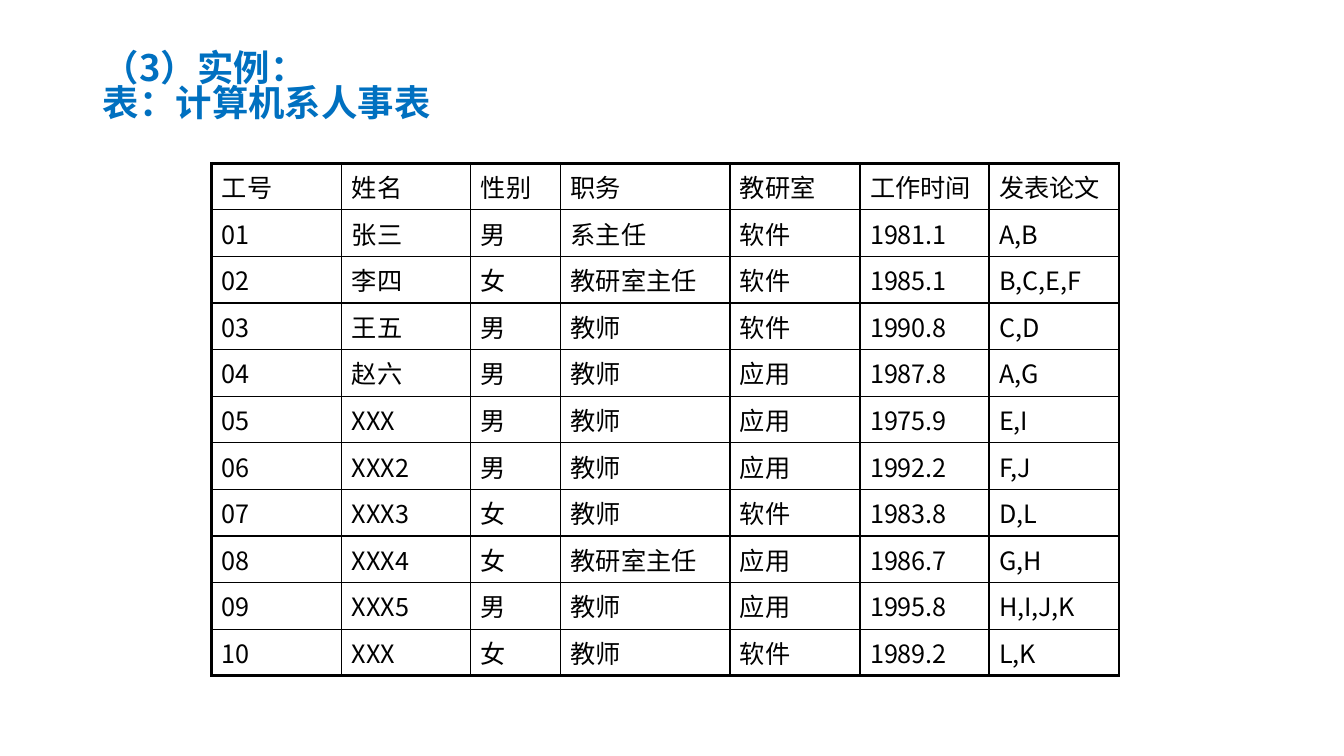
from lxml import etree
from pptx import Presentation
from pptx import util as u
from pptx.dml.color import RGBColor
from pptx.enum import text
from pptx.oxml.ns import qn

PX = 9144  # EMU in one px, 100 px to the inch
FONT = "Noto Sans CJK SC"
COLORS = {"title": "0070C0", "ink": "000000", "paper": "FFFFFF"}
THIN, THICK = 1, 2.25

TITLE = "（3）实例：\v表：计算机系人事表"
COLUMN_WIDTHS = [129, 128, 89, 168, 129, 128, 129]
STAFF = [
    ["工号", "姓名", "性别", "职务", "教研室", "工作时间", "发表论文"],
    ["01", "张三", "男", "系主任", "软件", "1981.1", "A,B"],
    ["02", "李四", "女", "教研室主任", "软件", "1985.1", "B,C,E,F"],
    ["03", "王五", "男", "教师", "软件", "1990.8", "C,D"],
    ["04", "赵六", "男", "教师", "应用", "1987.8", "A,G"],
    ["05", "XXX", "男", "教师", "应用", "1975.9", "E,I"],
    ["06", "XXX2", "男", "教师", "应用", "1992.2", "F,J"],
    ["07", "XXX3", "女", "教师", "软件", "1983.8", "D,L"],
    ["08", "XXX4", "女", "教研室主任", "应用", "1986.7", "G,H"],
    ["09", "XXX5", "男", "教师", "应用", "1995.8", "H,I,J,K"],
    ["10", "XXX", "女", "教师", "软件", "1989.2", "L,K"],
]


def color(name):
    return RGBColor.from_string(COLORS[name])


def write(frame, words, size, ink, bold=False, line_spacing=None):
    paragraph = frame.paragraphs[0]
    paragraph.text = words
    paragraph.alignment = text.PP_ALIGN.LEFT
    paragraph.line_spacing = line_spacing
    for run in paragraph.runs:
        font = run.font
        font.name, font.size, font.bold = FONT, u.Pt(size), bold
        font.color.rgb = color(ink)
        east_asian = etree.SubElement(font._element, qn("a:ea"))
        east_asian.set("typeface", FONT)


def draw_borders(cell, widths):
    """Line the cell's left, right, top and bottom sides, widths in points."""
    properties = cell._tc.get_or_add_tcPr()
    for position, (side, width) in enumerate(zip("LRTB", widths)):
        line = etree.Element(qn(f"a:ln{side}"), w=str(u.Pt(width)))
        fill = etree.SubElement(line, qn("a:solidFill"))
        etree.SubElement(fill, qn("a:srgbClr"), val=COLORS["ink"])
        properties.insert(position, line)


def add_heading(slide, left, top, width, height):
    heading = slide.shapes.title
    heading.left, heading.top = left * PX, top * PX
    heading.width, heading.height = width * PX, height * PX
    heading.fill.solid()
    heading.fill.fore_color.rgb = color("paper")
    frame = heading.text_frame
    frame.word_wrap = True
    frame.vertical_anchor = text.MSO_ANCHOR.MIDDLE
    frame.auto_size = text.MSO_AUTO_SIZE.TEXT_TO_FIT_SHAPE
    write(frame, TITLE, 28, "title", bold=True, line_spacing=0.9)


def add_staff_table(slide, left, top, width, height):
    last_row, last_column = len(STAFF) - 1, len(COLUMN_WIDTHS) - 1
    staff_table = slide.shapes.add_table(
        len(STAFF), len(COLUMN_WIDTHS),
        left * PX, top * PX, width * PX, height * PX).table
    staff_table.first_row = staff_table.horz_banding = False
    for column, column_width in zip(staff_table.columns, COLUMN_WIDTHS):
        column.width = column_width * PX
    for r, record in enumerate(STAFF):
        for c, entry in enumerate(record):
            cell = staff_table.cell(r, c)
            cell.fill.background()
            outer_sides = (c == 0, c == last_column, r == 0, r == last_row)
            draw_borders(cell, [THICK if outer else THIN for outer in outer_sides])
            write(cell.text_frame, entry, 18, "ink")


def main():
    deck = Presentation()
    deck.slide_width, deck.slide_height = 1333 * PX, 750 * PX
    slide = deck.slides.add_slide(deck.slide_layouts[5])
    add_heading(slide, 92, 40, 1150, 96)
    add_staff_table(slide, 210, 162, 900, 495)
    deck.save("out.pptx")


if __name__ == "__main__":
    main()
